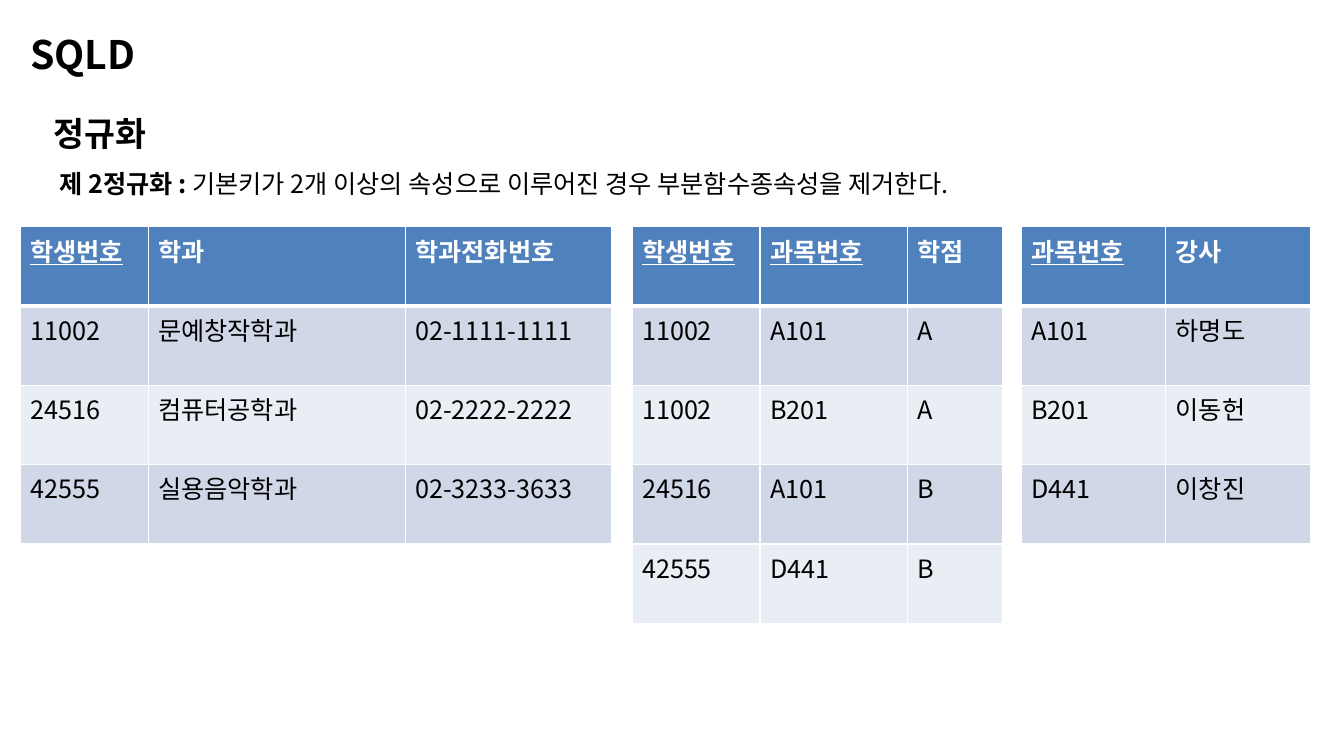
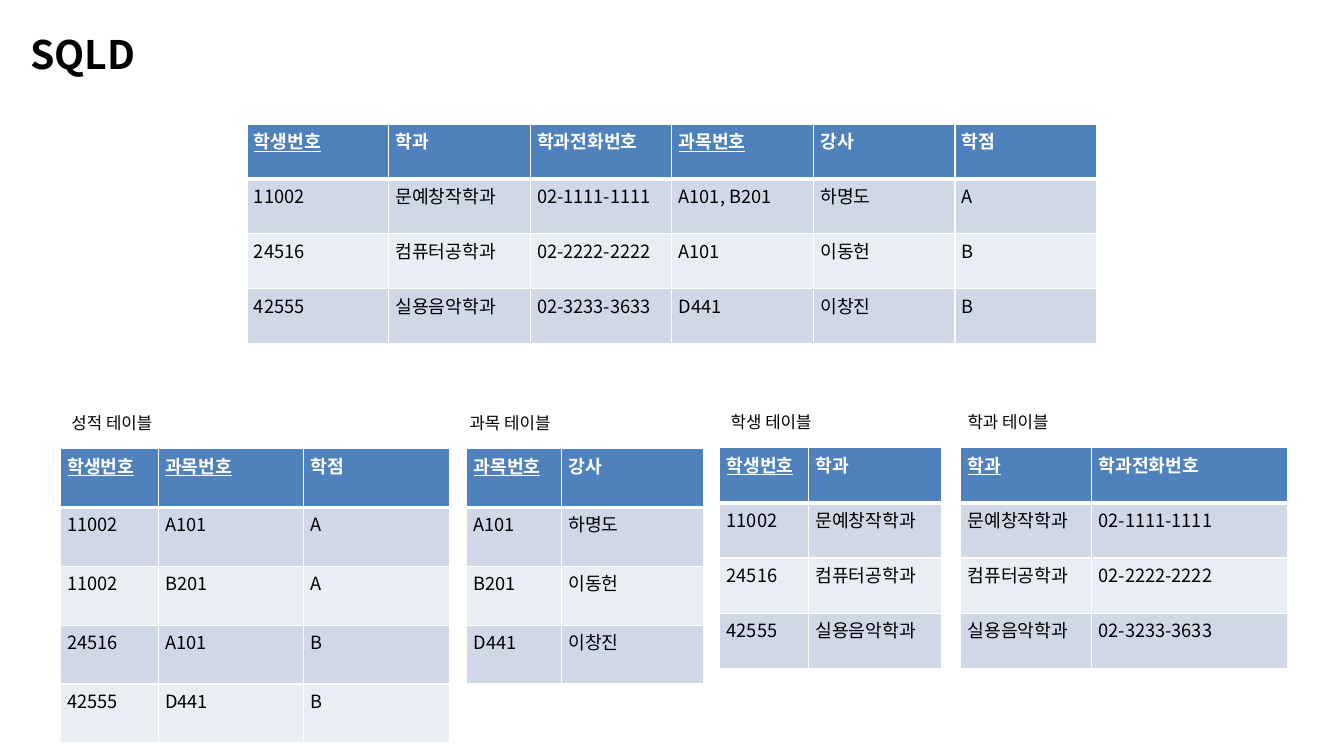
import pptx
import pptx.util
import pptx.dml.color
import pptx.enum.text
import pptx.oxml.ns
import lxml.etree

COLORS = {
    "text": "000000",
    "header": "4F81BD",
    "header_text": "FFFFFF",
    "border": "FFFFFF",
    "band_dark": "D0D8E8",
    "band_light": "E9EDF4",
}
FONT = "Noto Sans CJK KR"
PAGE_COLUMNS, PAGE_ROWS = 133.33, 75  # grid of 0.1 inch squares

STUDENT_IDS = ["11002", "24516", "42555"]
DEPARTMENTS = ["문예창작학과", "컴퓨터공학과", "실용음악학과"]
PHONES = ["02-1111-1111", "02-2222-2222", "02-3233-3633"]
COURSES = ["A101", "B201", "D441"]
TEACHERS = ["하명도", "이동헌", "이창진"]

GRADE_TABLE = [
    ("학생번호", "과목번호", "학점"),
    ("11002", "A101", "A"),
    ("11002", "B201", "A"),
    ("24516", "A101", "B"),
    ("42555", "D441", "B"),
]
COURSE_TABLE = [("과목번호", "강사"), *zip(COURSES, TEACHERS)]
STUDENT_TABLE = [("학생번호", "학과"), *zip(STUDENT_IDS, DEPARTMENTS)]
DEPARTMENT_TABLE = [("학과", "학과전화번호"), *zip(DEPARTMENTS, PHONES)]
CONTACT_TABLE = [("학생번호", "학과", "학과전화번호"),
                 *zip(STUDENT_IDS, DEPARTMENTS, PHONES)]
FULL_TABLE = [
    ("학생번호", "학과", "학과전화번호", "과목번호", "강사", "학점"),
    *zip(STUDENT_IDS, DEPARTMENTS, PHONES, ["A101, B201", "A101", "D441"],
         TEACHERS, ["A", "B", "B"]),
]


def grid(count):
    return pptx.util.Inches(count / 10)


def rgb(name):
    return pptx.dml.color.RGBColor.from_string(COLORS[name])


def style_span(span, size, color="text", bold=False, underline=False):
    span.font.size = pptx.util.Pt(size)
    span.font.bold = bold
    span.font.underline = underline
    span.font.color.rgb = rgb(color)
    span.font.name = FONT
    east_asian = lxml.etree.SubElement(span.font._element, pptx.oxml.ns.qn("a:ea"))
    east_asian.set("typeface", FONT)


def add_text(page, place, size, *parts):
    """Add one line of text; each part is a (words, bold) pair."""
    box = page.shapes.add_textbox(*map(grid, place))
    frame = box.text_frame
    frame.word_wrap = True
    frame.auto_size = pptx.enum.text.MSO_AUTO_SIZE.SHAPE_TO_FIT_TEXT
    for words, bold in parts:
        span = frame.paragraphs[0].add_run()
        span.text = words
        style_span(span, size, bold=bold)


def set_borders(cell, top=1, bottom=1):
    properties = cell._tc.get_or_add_tcPr()
    sides = [("lnL", 1), ("lnR", 1), ("lnT", top), ("lnB", bottom)]
    for position, (side, points) in enumerate(sides):
        line = lxml.etree.Element(pptx.oxml.ns.qn("a:" + side))
        line.set("w", str(pptx.util.Pt(points)))
        fill = lxml.etree.SubElement(line, pptx.oxml.ns.qn("a:solidFill"))
        color = lxml.etree.SubElement(fill, pptx.oxml.ns.qn("a:srgbClr"))
        color.set("val", COLORS["border"])
        properties.insert(position, line)


def add_data_table(page, left, top, widths, row_height, records, keys,
                   size=13, margins=(0.7, 0.35)):
    """Add a banded table whose key columns have underlined headings."""
    frame = page.shapes.add_table(
        len(records), len(widths), grid(left), grid(top),
        grid(sum(widths)), grid(row_height * len(records)))
    table = frame.table
    table.horz_banding = False
    for column, width in zip(table.columns, widths):
        column.width = grid(width)
    for row_index, record in enumerate(records):
        table.rows[row_index].height = grid(row_height)
        heading = row_index == 0
        band = "band_dark" if row_index % 2 else "band_light"
        for column_index, words in enumerate(record):
            cell = table.cell(row_index, column_index)
            cell.margin_left = cell.margin_right = grid(margins[0])
            cell.margin_top = cell.margin_bottom = grid(margins[1])
            cell.fill.solid()
            cell.fill.fore_color.rgb = rgb("header" if heading else band)
            set_borders(cell, top=3 if row_index == 1 else 1,
                        bottom=3 if heading else 1)
            cell.text_frame.text = words
            style_span(cell.text_frame.paragraphs[0].runs[0], size,
                       "header_text" if heading else "text",
                       heading, heading and words in keys)


def add_captioned_table(page, left, top, caption, caption_shift, *table_parts):
    add_text(page, (left + caption_shift, top - 4, 12.8, 3), 12, (caption, False))
    add_data_table(page, left, top, *table_parts)


def add_page(deck):
    page = deck.slides.add_slide(deck.slide_layouts[6])
    add_text(page, (2, 2.5, 39.4, 5.7), 28, ("SQLD", True))
    return page


def build_second_normal_form(deck):
    page = add_page(deck)
    add_text(page, (4.3, 10.7, 40.9, 5), 24, ("정규화", True))
    add_text(page, (4.9, 16.2, 105.1, 4), 18, ("제 2정규화 : ", True),
             ("기본키가 2개 이상의 속성으로 이루어진 경우 부분함수종속성을 제거한다.", False))
    keys = {"학생번호", "과목번호"}
    for left, widths, records in [
        (2, (12.7, 25.5, 20.5), CONTACT_TABLE),
        (62.7, (12.7, 14.6, 9.5), GRADE_TABLE),
        (101.3, (14.35, 14.35), COURSE_TABLE),
    ]:
        add_data_table(page, left, 22.5, widths, 7.87, records, keys, 18, (1, 0.5))


def build_decomposition(deck):
    page = add_page(deck)
    keys = {"학생번호", "과목번호"}
    add_data_table(page, 24.5, 12.3, [14.05] * 6, 5.45, FULL_TABLE, keys)
    for left, top, caption, shift, widths, height, records, table_keys in [
        (6, 44.5, "성적 테이블", 0.1, (9.7, 14.45, 14.45), 5.84, GRADE_TABLE, keys),
        (46.3, 44.5, "과목 테이블", -0.7, (9.4, 14.1), 5.84, COURSE_TABLE, keys),
        (71.4, 44.4, "학생 테이블", 0.1, (8.8, 13.2), 5.48, STUDENT_TABLE, keys),
        (95.3, 44.4, "학과 테이블", -0.3, (13, 19.4), 5.48, DEPARTMENT_TABLE, {"학과"}),
    ]:
        add_captioned_table(page, left, top, caption, shift,
                            widths, height, records, table_keys)


def main():
    deck = pptx.Presentation()
    deck.slide_width, deck.slide_height = grid(PAGE_COLUMNS), grid(PAGE_ROWS)
    build_second_normal_form(deck)
    build_decomposition(deck)
    deck.save("out.pptx")


if __name__ == "__main__":
    main()
